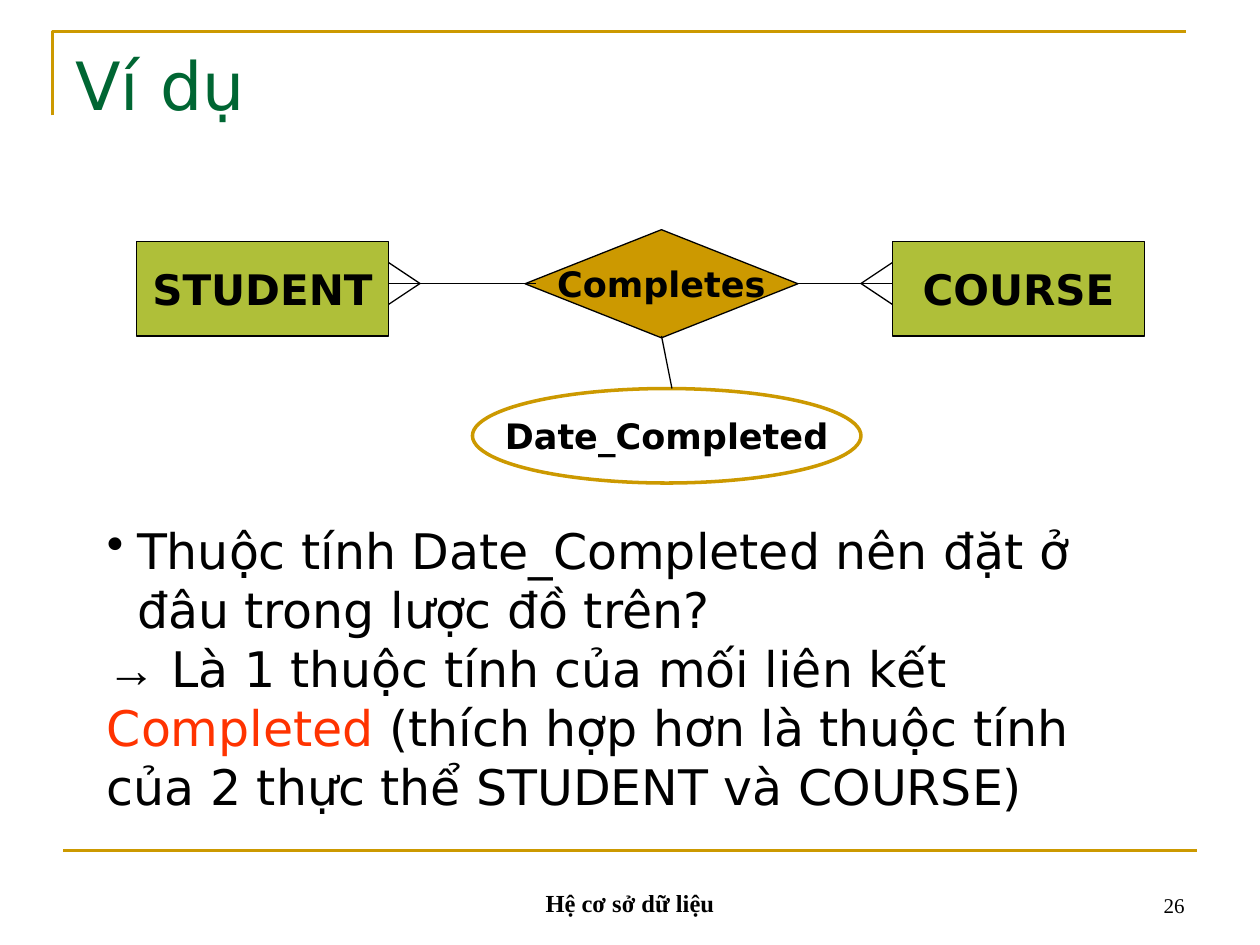
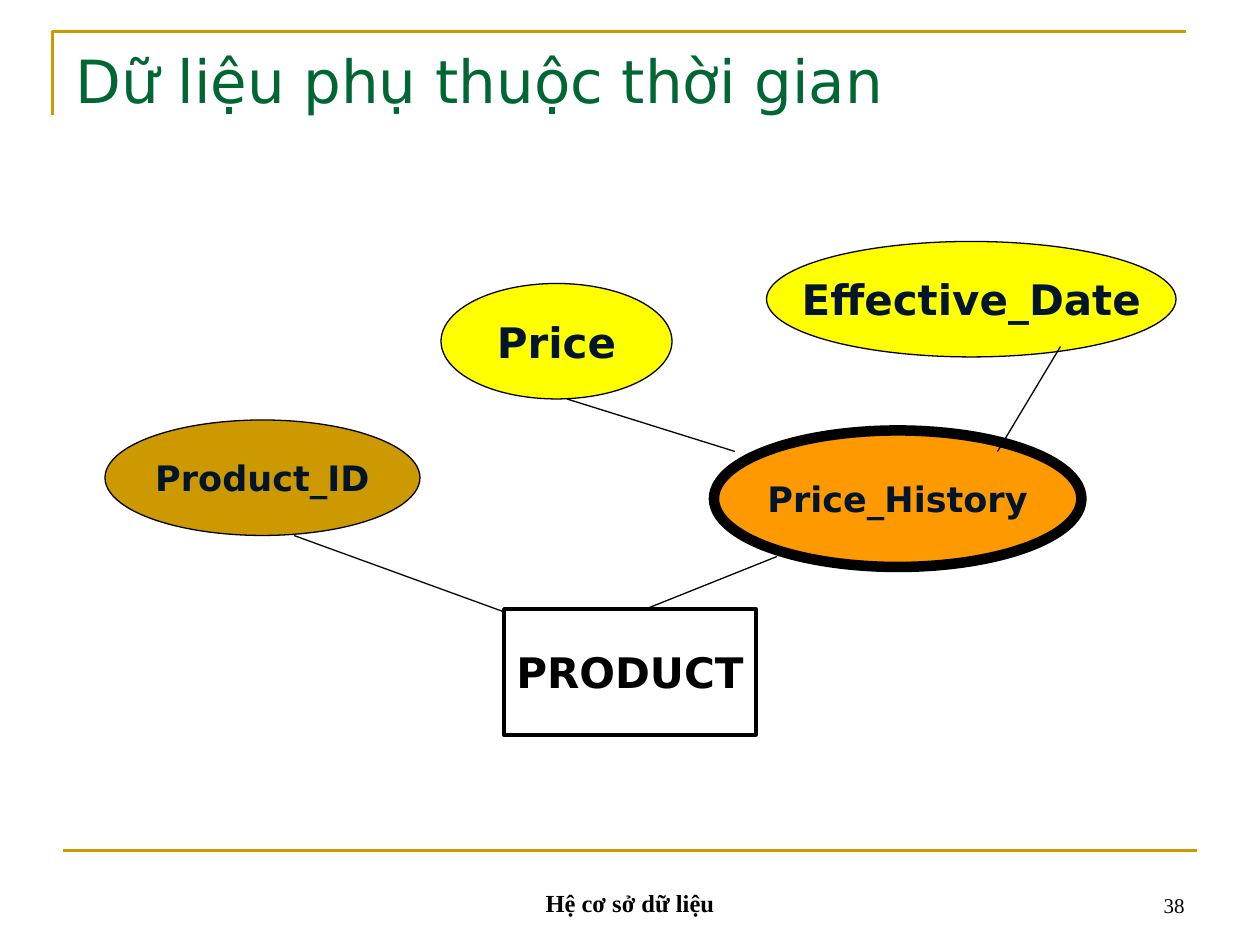
"""Two entity-relationship slides drawn on a grid of 120 columns by 90 rows."""
from dataclasses import dataclass

from lxml import etree
from pptx import Presentation
from pptx import util as u
from pptx.dml.color import RGBColor
from pptx.enum import shapes, text
from pptx.oxml.ns import qn

CELL = u.Inches(1) / 12
COLUMNS, ROWS = 120, 90
SANS, SERIF = "DejaVu Sans", "Times New Roman"
BLACK, WHITE, NAVY = "000000", "FFFFFF", "00152A"
GOLD, GREEN, LIME = "CC9900", "006633", "AFBF39"
YELLOW, ORANGE, RED = "FFFF00", "FF9900", "FF3300"
RECT = shapes.MSO_SHAPE.RECTANGLE
OVAL = shapes.MSO_SHAPE.OVAL
DIAMOND = shapes.MSO_SHAPE.DIAMOND
LEFT, CENTER, RIGHT = text.PP_ALIGN.LEFT, text.PP_ALIGN.CENTER, text.PP_ALIGN.RIGHT
TOP, BOTTOM = text.MSO_ANCHOR.TOP, text.MSO_ANCHOR.BOTTOM


@dataclass(frozen=True)
class Box:
    col: float
    row: float
    cols: float
    rows: float

    def lengths(self) -> list[int]:
        return [grid(n) for n in (self.col, self.row, self.cols, self.rows)]


@dataclass(frozen=True)
class Node:
    label: str
    outline: shapes.MSO_SHAPE
    box: Box
    fill: str
    size: int = 24
    ink: str = BLACK
    border: str = BLACK
    weight: float = 0.75


@dataclass(frozen=True)
class Link:
    start: tuple[float, float]
    end: tuple[float, float]


TITLE = Box(6, 3.6, COLUMNS - 12, 15)
FOOTER = Box(41, 82, 38, 6)
NUMBER = Box(86, 82, 28, 6)
ANSWER = Box(9, 49, 102.2, 35.6)


def crows_foot(edge: float, tip: float) -> list[Link]:
    return [Link((tip, 27), (edge, row)) for row in (25, 29)]


COMPLETION = [
    Node("STUDENT", RECT, Box(13, 23, 24, 9), LIME),
    Node("COURSE", RECT, Box(85, 23, 24, 9), LIME),
    Node("Completes", DIAMOND, Box(50, 21.88, 26, 10.3), GOLD, 20),
    Link((37, 27), (51, 27)),
    Link((76, 27), (85, 27)),
    *crows_foot(37, 40),
    *crows_foot(85, 82),
    Node("Date_Completed", OVAL, Box(45, 37, 37, 9), WHITE, 20, border=GOLD, weight=2),
    Link((64, 37), (63, 32)),
]
PRICING = [
    Node("Product_ID", OVAL, Box(10, 40, 30, 11), GOLD, 20, NAVY),
    Node("Price", OVAL, Box(42, 27, 22, 11), YELLOW, ink=NAVY),
    Node("Price_History", OVAL, Box(68, 41, 35, 13), ORANGE, 20, NAVY, weight=6),
    Link((28, 51), (50, 59)),
    Link((74, 53), (59, 59)),
    Node("PRODUCT", RECT, Box(48, 58, 24, 12), WHITE, weight=2),
    Link((54, 38), (70, 43)),
    Node("Effective_Date", OVAL, Box(73, 23, 39, 11), YELLOW, ink=NAVY),
    Link((101, 33), (95, 43)),
]


def grid(count: float) -> int:
    return round(count * CELL)


def colour(value: str) -> RGBColor:
    return RGBColor.from_string(value)


def stroke(line, ink: str, weight: float) -> None:
    line.color.rgb = colour(ink)
    line.width = u.Pt(weight)


def write(paragraph, words: str, *, size: float, font: str = SANS, ink: str = BLACK,
          bold: bool = False, align=LEFT) -> None:
    paragraph.alignment = align
    run = paragraph.add_run()
    run.text = words
    run.font.name = font
    run.font.size = u.Pt(size)
    run.font.bold = bold
    run.font.color.rgb = colour(ink)


def add_frame(slide, box: Box, anchor=TOP):
    frame = slide.shapes.add_textbox(*box.lengths()).text_frame
    frame.word_wrap = True
    frame.vertical_anchor = anchor
    return frame


def draw_link(slide, link: Link, ink: str = BLACK, weight: float = 0.75) -> None:
    ends = [grid(n) for n in (*link.start, *link.end)]
    connector = slide.shapes.add_connector(shapes.MSO_CONNECTOR.STRAIGHT, *ends)
    stroke(connector.line, ink, weight)
    etree.SubElement(connector._element.spPr, qn("a:effectLst"))


def draw_node(slide, node: Node) -> None:
    shape = slide.shapes.add_shape(node.outline, *node.box.lengths())
    shape.shadow.inherit = False
    shape.fill.solid()
    shape.fill.fore_color.rgb = colour(node.fill)
    stroke(shape.line, node.border, node.weight)
    frame = shape.text_frame
    frame.word_wrap = False
    frame.vertical_anchor = text.MSO_ANCHOR.MIDDLE
    write(frame.paragraphs[0], node.label, size=node.size, ink=node.ink,
          bold=True, align=CENTER)


def draw_corner(slide) -> None:
    builder = slide.shapes.build_freeform(5, 11, scale=CELL)
    builder.add_line_segments([(5, 3), (113, 3)], close=False)
    corner = builder.convert_to_shape()
    corner.shadow.inherit = False
    corner.fill.background()
    stroke(corner.line, GOLD, 1.5)


def add_diagram(deck, title: str, number: int, title_size: int, parts: list[Node | Link]):
    slide = deck.slides.add_slide(deck.slide_layouts[6])
    draw_corner(slide)
    draw_link(slide, Link((6, 81), (114, 81)), GOLD, 1.5)
    write(add_frame(slide, FOOTER, BOTTOM).paragraphs[0], "Hệ cơ sở dữ liệu",
          size=14, font=SERIF, bold=True, align=CENTER)
    write(add_frame(slide, NUMBER, BOTTOM).paragraphs[0], str(number),
          size=12, font=SERIF, align=RIGHT)
    write(add_frame(slide, TITLE).paragraphs[0], title, size=title_size, ink=GREEN)
    for part in parts:
        if isinstance(part, Node):
            draw_node(slide, part)
        else:
            draw_link(slide, part)
    return slide


def add_answer(slide) -> None:
    frame = add_frame(slide, ANSWER)
    question = frame.paragraphs[0]
    properties = question._p.get_or_add_pPr()
    indent = u.Inches(0.24)
    properties.set("marL", str(indent))
    properties.set("indent", str(-indent))
    etree.SubElement(properties, qn("a:buChar"), char="•")
    write(question, "Thuộc tính Date_Completed nên đặt ở đâu trong lược đồ trên?", size=28)
    answer = frame.add_paragraph()
    write(answer, "→", size=28, font="Arial")
    write(answer, " Là 1 thuộc tính của mối liên kết ", size=28)
    write(answer, "Completed ", size=28, ink=RED)
    write(answer, "(thích hợp hơn là thuộc tính của 2 thực thể STUDENT và COURSE)", size=28)


def main() -> None:
    deck = Presentation()
    deck.slide_width, deck.slide_height = grid(COLUMNS), grid(ROWS)
    add_answer(add_diagram(deck, "Ví dụ", 26, 38, COMPLETION))
    add_diagram(deck, "Dữ liệu phụ thuộc thời gian", 38, 34, PRICING)
    deck.save("out.pptx")


if __name__ == "__main__":
    main()
